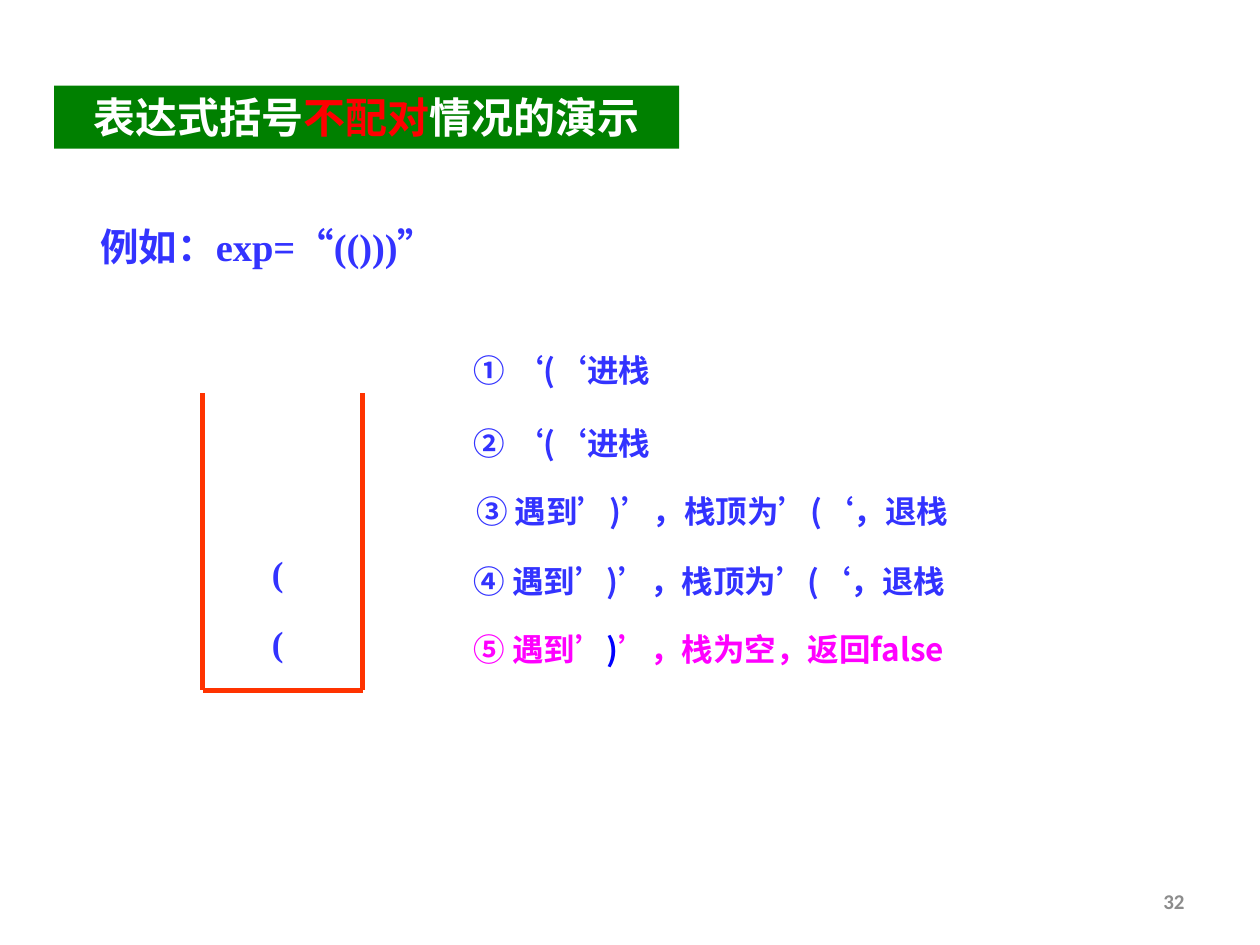
from lxml import etree
from pptx import Presentation
from pptx.dml.color import RGBColor
from pptx.enum.lang import MSO_LANGUAGE_ID
from pptx.enum.shapes import MSO_CONNECTOR, MSO_SHAPE
from pptx.enum.text import MSO_ANCHOR, PP_ALIGN
from pptx.oxml.ns import qn
from pptx.util import Inches, Pt

CHINESE = MSO_LANGUAGE_ID.SIMPLIFIED_CHINESE
STRAIGHT = MSO_CONNECTOR.STRAIGHT
RECT = MSO_SHAPE.RECTANGLE
TOP, MIDDLE = MSO_ANCHOR.TOP, MSO_ANCHOR.MIDDLE
LEFT, CENTER, RIGHT = PP_ALIGN.LEFT, PP_ALIGN.CENTER, PP_ALIGN.RIGHT

SANS, SERIF, NUMBER_FONT = "Noto Sans CJK SC", "Times New Roman", "Calibri"
BLUE, PURE_BLUE, PINK = "3333FF", "0000FF", "FF00FF"
RED, ORANGE, GREEN, WHITE, GRAY = "FF0000", "FF3300", "008000", "FFFFFF", "8C8C8C"


def rgb(value):
    return RGBColor.from_string(value)


def write(sp, parts, size, font=SANS, align=LEFT, anchor=TOP):
    tf = sp.text_frame
    tf.word_wrap = True
    tf.vertical_anchor = anchor
    p = tf.paragraphs[0]
    p.alignment = align
    for text, color in parts:
        r = p.add_run()
        r.text = text
        r.font.size = Pt(size)
        r.font.bold = True
        r.font.name = font
        r.font.language_id = CHINESE
        r.font.color.rgb = rgb(color)
        ea = etree.SubElement(r.font._element, qn("a:ea"))
        ea.set("typeface", SANS)


def add_text(s, x, y, w, h, parts, size, **style):
    sp = s.shapes.add_textbox(Inches(x), Inches(y), Inches(w), Inches(h))
    write(sp, parts, size, **style)


def add_line(s, x1, y1, x2, y2):
    line = s.shapes.add_connector(
        STRAIGHT, Inches(x1), Inches(y1), Inches(x2), Inches(y2))
    line.line.color.rgb = rgb(ORANGE)
    line.line.width = Pt(3)
    etree.SubElement(line._element.spPr, qn("a:effectLst"))


def add_title(s, x, y, w, h):
    sp = s.shapes.add_shape(RECT, Inches(x), Inches(y), Inches(w), Inches(h))
    sp.shadow.inherit = False
    sp.fill.solid()
    sp.fill.fore_color.rgb = rgb(GREEN)
    sp.line.fill.background()
    parts = [("表达式括号", WHITE), ("不配对", RED), ("情况的演示", WHITE)]
    write(sp, parts, 24, align=CENTER)


def add_stack(s, x, y, w, h):
    right, bottom = x + w, y + h
    add_line(s, x, y, x, bottom)
    add_line(s, x, bottom, right, bottom)
    add_line(s, right, y, right, bottom)
    for offset in (1.21, 1.76):
        add_text(s, x + 0.24, y + offset, 0.71, 0.43, [("(", BLUE)], 20,
                 font=SERIF, align=CENTER)


def add_steps(s, x, y, w):
    push = "‘(‘进栈"
    pop = "遇到’)’，栈顶为’(‘，退栈"
    steps = [
        (0, 0, [("① " + push, BLUE)]),
        (0, 0.58, [("② " + push, BLUE)]),
        (0.02, 1.12, [("③ " + pop, BLUE)]),
        (0, 1.67, [("④ " + pop, BLUE)]),
        (0, 2.21, [("⑤ 遇到’", PINK), (")", PURE_BLUE),
                   ("’，栈为空，返回false", PINK)]),
    ]
    for dx, dy, parts in steps:
        add_text(s, x + dx, y + dy, w, 0.4, parts, 18)


def main():
    prs = Presentation()
    prs.slide_width, prs.slide_height = Inches(10), Inches(7.5)
    s = prs.slides.add_slide(prs.slide_layouts[6])
    add_stack(s, 1.61, 3.12, 1.27, 2.36)
    add_title(s, 0.43, 0.68, 4.96, 0.5)
    add_text(s, 0.7, 1.72, 3.7, 0.47, [("例如：exp=“(()))”", BLUE)], 22, font=SERIF)
    add_steps(s, 3.66, 2.74, 4.65)
    add_text(s, 7.17, 6.95, 2.33, 0.4, [("32", GRAY)], 12,
             font=NUMBER_FONT, align=RIGHT, anchor=MIDDLE)
    prs.save("out.pptx")


if __name__ == "__main__":
    main()
